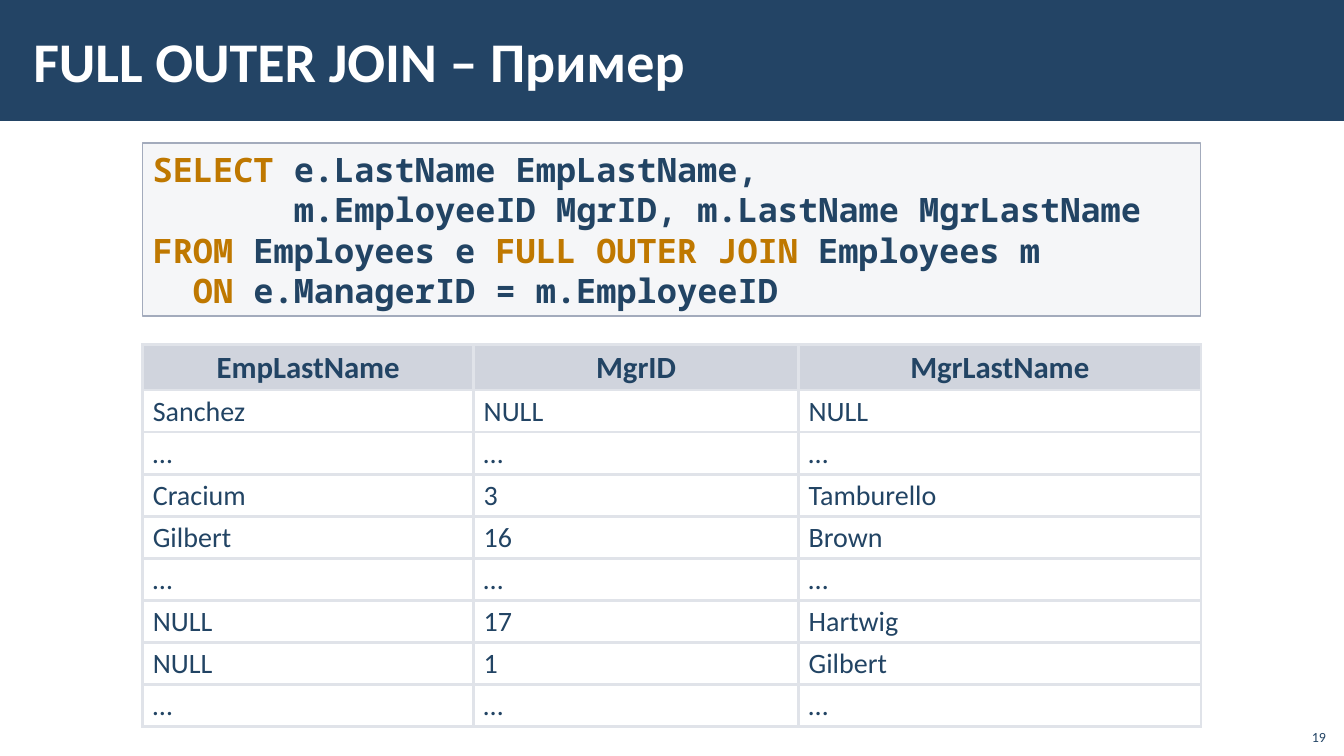
from dataclasses import dataclass

from lxml import etree
from pptx import Presentation
from pptx.dml.color import RGBColor
from pptx.enum.shapes import MSO_SHAPE
from pptx.enum.text import MSO_ANCHOR, PP_ALIGN
from pptx.oxml.ns import qn
from pptx.util import Inches, Pt

RECT = MSO_SHAPE.RECTANGLE
MIDDLE, BOTTOM = MSO_ANCHOR.MIDDLE, MSO_ANCHOR.BOTTOM
LEFT, CENTER, RIGHT = PP_ALIGN.LEFT, PP_ALIGN.CENTER, PP_ALIGN.RIGHT
WIDTH, HEIGHT = Inches(13.33), Inches(7.5)


@dataclass(frozen=True)
class Theme:
    sans: str = "Calibri"
    mono: str = "Noto Sans Mono"
    band: str = "234465"
    ink: str = "224464"
    keyword: str = "BF7800"
    white: str = "FFFFFF"
    code_fill: str = "C2C7D2"
    steel: str = "A3ABBC"
    grid: str = "E0E3E9"
    title_size: int = 40
    code_size: int = 24
    head_size: int = 22
    body_size: int = 20
    number_size: int = 10


THEME = Theme()

QUERY = [
    [("SELECT ", True), ("e.LastName EmpLastName,", False)],
    [("       m.EmployeeID MgrID, m.LastName MgrLastName", False)],
    [("FROM ", True), ("Employees e ", False),
     ("FULL OUTER JOIN ", True), ("Employees m", False)],
    [("  ", False), ("ON ", True), ("e.ManagerID = m.EmployeeID", False)],
]
GAP = ("…", "…", "…")
RESULT = [
    ("EmpLastName", "MgrID", "MgrLastName"),
    ("Sanchez", "NULL", "NULL"),
    GAP,
    ("Cracium", "3", "Tamburello"),
    ("Gilbert", "16", "Brown"),
    GAP,
    ("NULL", "17", "Hartwig"),
    ("NULL", "1", "Gilbert"),
    GAP,
]
COLUMN_SHARES = (24.62, 24.18, 29.95)
HEAD_SHARE, ROW_SHARE = 5.92, 5.57


def across(percent):
    return round(WIDTH * percent / 100)


def down(percent):
    return round(HEIGHT * percent / 100)


def place(x, y, w, h):
    return across(x), down(y), across(w), down(h)


def style_font(font, name, size, color, bold=False):
    font.name = name
    font.size = Pt(size)
    font.bold = bold
    font.color.rgb = RGBColor.from_string(color)


def paint(obj, element, color, opacity=100):
    obj.fill.solid()
    obj.fill.fore_color.rgb = RGBColor.from_string(color)
    if opacity < 100:
        rgb = next(element.iter(qn("a:srgbClr")))
        etree.SubElement(rgb, qn("a:alpha"), val=str(opacity * 1000))


def add_panel(s, box, color, opacity=100, line=None):
    sp = s.shapes.add_shape(RECT, *box)
    sp.shadow.inherit = False
    paint(sp, sp._element, color, opacity)
    if line:
        sp.line.color.rgb = RGBColor.from_string(line)
        sp.line.width = Pt(1)
    else:
        sp.line.fill.background()
    return sp


def add_text(s, box, text, size, color, anchor, align=LEFT, bold=False, inset=0.1):
    tf = s.shapes.add_textbox(*box).text_frame
    tf.word_wrap = True
    tf.vertical_anchor = anchor
    tf.margin_left = tf.margin_right = Inches(inset)
    tf.text = text
    p = tf.paragraphs[0]
    p.alignment = align
    style_font(p.runs[0].font, THEME.sans, size, color, bold)


def add_code(s, box, lines):
    sp = add_panel(s, box, THEME.code_fill, 15, THEME.steel)
    tf = sp.text_frame
    tf.word_wrap = True
    tf.vertical_anchor = MIDDLE
    for i, line in enumerate(lines):
        p = tf.paragraphs[0] if i == 0 else tf.add_paragraph()
        p.alignment = LEFT
        for text, is_keyword in line:
            r = p.add_run()
            r.text = text
            color = THEME.keyword if is_keyword else THEME.ink
            style_font(r.font, THEME.mono, THEME.code_size, color, True)


def add_borders(cell, color, width):
    tc_pr = cell._tc.get_or_add_tcPr()
    for i, side in enumerate(("a:lnL", "a:lnR", "a:lnT", "a:lnB")):
        ln = etree.Element(qn(side), w=str(Pt(width)))
        fill = etree.SubElement(ln, qn("a:solidFill"))
        etree.SubElement(fill, qn("a:srgbClr"), val=color)
        tc_pr.insert(i, ln)


def fill_cell(cell, text, is_head):
    cell.text = text
    cell.vertical_anchor = MIDDLE
    p = cell.text_frame.paragraphs[0]
    p.alignment = CENTER if is_head else LEFT
    p.line_spacing = 0.95
    size = THEME.head_size if is_head else THEME.body_size
    style_font(p.runs[0].font, THEME.sans, size, THEME.ink, is_head)
    if is_head:
        paint(cell, cell._tc.tcPr, THEME.steel, 50)
    else:
        paint(cell, cell._tc.tcPr, THEME.white)
    add_borders(cell, THEME.grid, 2.25)


def add_result(s, x, y, rows):
    height = HEAD_SHARE + ROW_SHARE * (len(rows) - 1)
    box = place(x, y, sum(COLUMN_SHARES), height)
    table = s.shapes.add_table(len(rows), len(COLUMN_SHARES), *box).table
    table.horz_banding = False
    table.first_row = False
    for column, share in zip(table.columns, COLUMN_SHARES):
        column.width = across(share)
    for i, values in enumerate(rows):
        table.rows[i].height = down(ROW_SHARE if i else HEAD_SHARE)
        for j, value in enumerate(values):
            fill_cell(table.cell(i, j), value, i == 0)


def main():
    prs = Presentation()
    prs.slide_width, prs.slide_height = WIDTH, HEIGHT
    s = prs.slides.add_slide(prs.slide_layouts[6])
    add_panel(s, place(0, 0, 100, 16), THEME.band)
    add_text(s, place(1.58, 1.47, 84.25, 12.93), "FULL OUTER JOIN – Пример",
             THEME.title_size, THEME.white, MIDDLE, bold=True, inset=0.12)
    add_code(s, place(10.62, 18.9, 78.7, 22.93), QUERY)
    add_result(s, 10.62, 45.6, RESULT)
    add_text(s, place(96.4, 94.93, 3, 4.27), "19",
             THEME.number_size, THEME.band, BOTTOM, RIGHT)
    prs.save("out.pptx")


if __name__ == "__main__":
    main()
